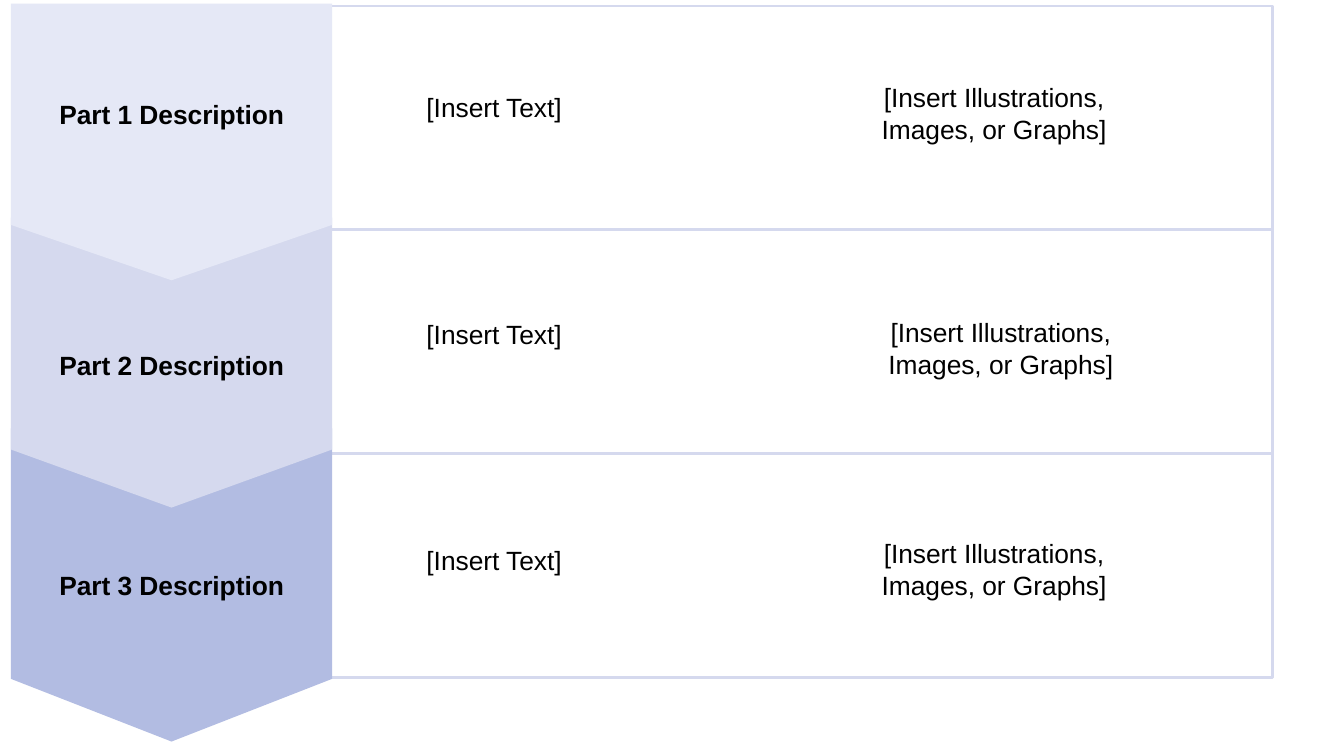
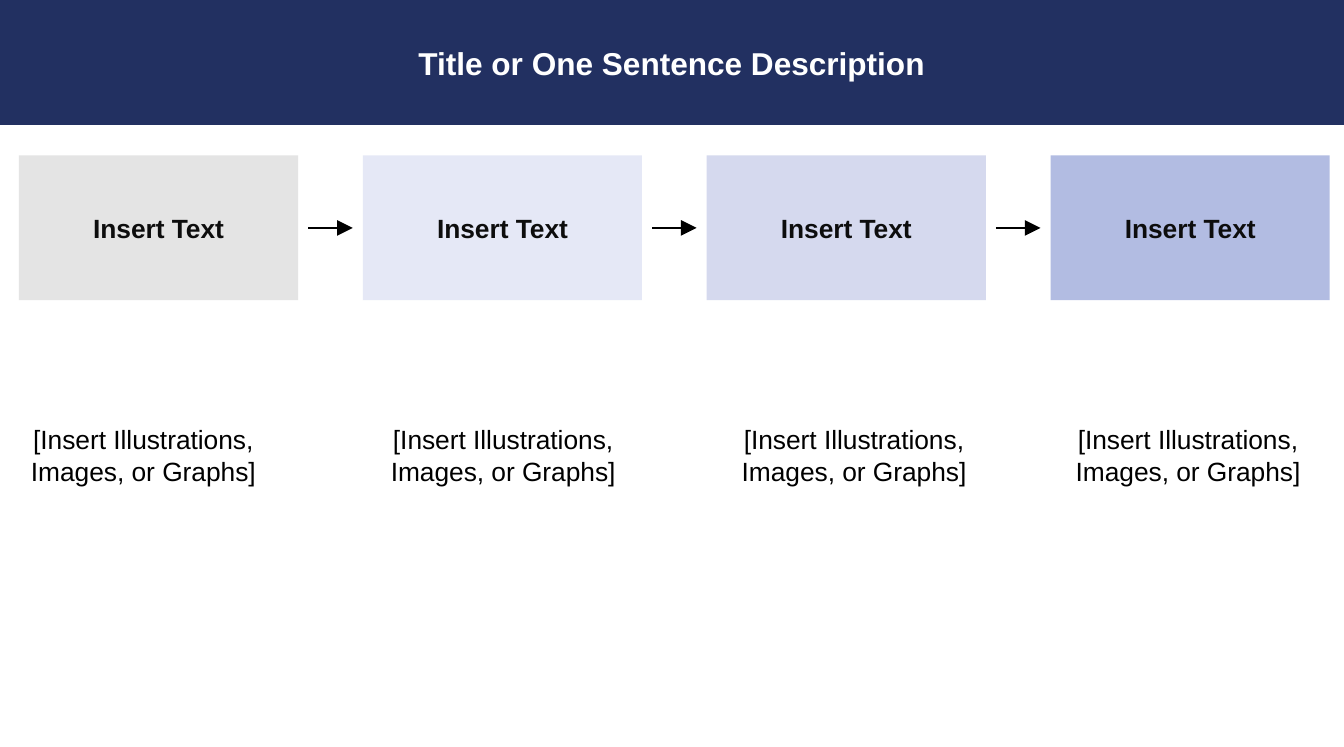
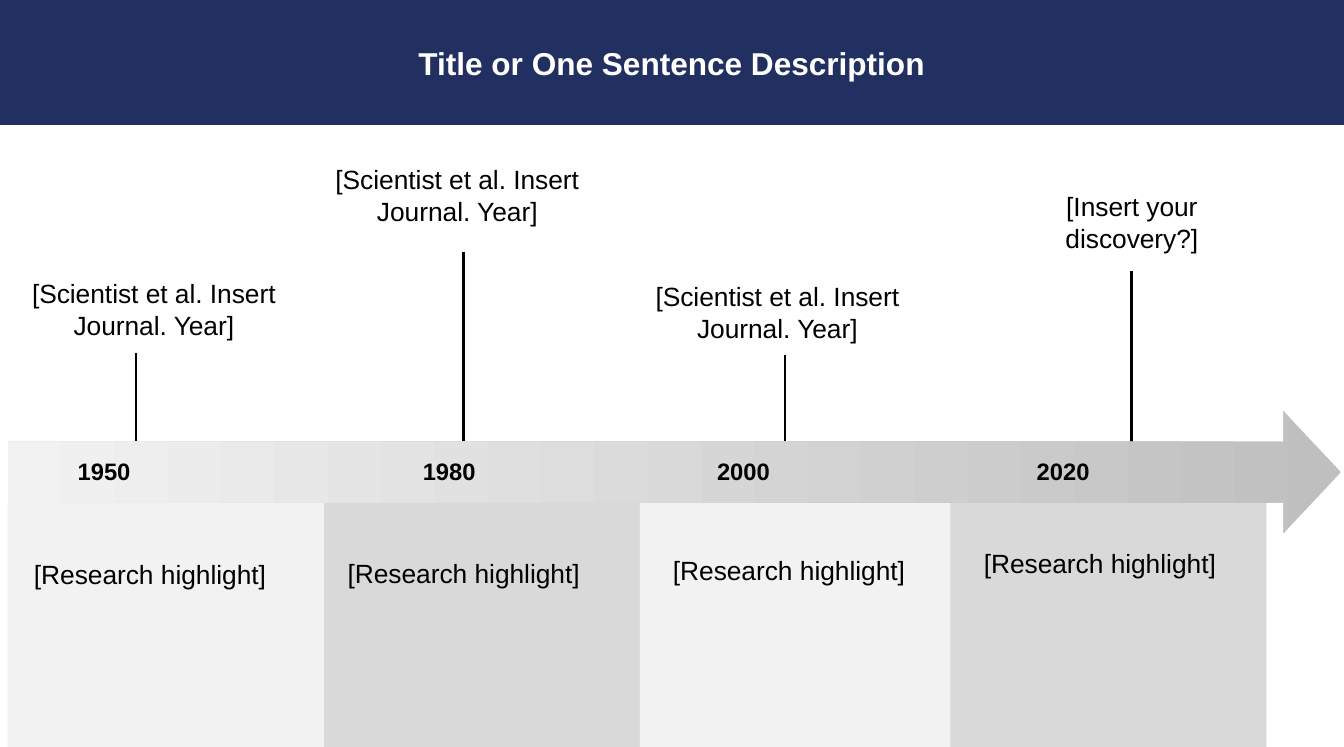
from lxml import etree
from pptx import Presentation
from pptx.dml.color import RGBColor
from pptx.enum.shapes import MSO_CONNECTOR, MSO_SHAPE as Preset
from pptx.enum.text import MSO_ANCHOR as Anchor, PP_ALIGN as Align
from pptx.oxml.ns import qn
from pptx.util import Pt

# Shared look
FONT = "Arial"
BLACK = RGBColor(0x00, 0x00, 0x00)
INK = RGBColor(0x0D, 0x0D, 0x0D)
WHITE = RGBColor(0xFF, 0xFF, 0xFF)
NAVY = RGBColor(0x22, 0x30, 0x61)
PALE = RGBColor(0xE5, 0xE8, 0xF6)
LAVENDER = RGBColor(0xD5, 0xD9, 0xEE)
PERIWINKLE = RGBColor(0xB2, 0xBC, 0xE2)
GREY = RGBColor(0xE4, 0xE4, 0xE4)
LIGHT_GREY = RGBColor(0xF2, 0xF2, 0xF2)
MID_GREY = RGBColor(0xD9, 0xD9, 0xD9)
DARK_GREY = RGBColor(0xBF, 0xBF, 0xBF)

PAGE_WIDTH, PAGE_HEIGHT = 510.24, 283.46
BAND_HEIGHT = 47.4
TITLE = "Title or One Sentence Description"
ILLUSTRATION = "[Insert Illustrations, Images, or Graphs]"
CITATION = "[Scientist et al. Insert Journal. Year]"


def write(shape, text, size=10, color=BLACK, bold=False):
    frame = shape.text_frame
    frame.word_wrap = True
    frame.text = text
    para = frame.paragraphs[0]
    para.alignment = Align.CENTER
    for span in para.runs:
        span.font.name = FONT
        span.font.size = Pt(size)
        span.font.bold = bold
        span.font.color.rgb = color


def add_box(page, preset, left, top, width, height, fill=None, outline=None):
    box = page.shapes.add_shape(preset, Pt(left), Pt(top), Pt(width), Pt(height))
    box.shadow.inherit = False
    if fill is None:
        box.fill.background()
    else:
        box.fill.solid()
        box.fill.fore_color.rgb = fill
    if outline is None:
        box.line.fill.background()
    else:
        box.line.color.rgb = outline
        box.line.width = Pt(1)
    box.text_frame.vertical_anchor = Anchor.MIDDLE
    return box


def add_caption(page, text, left, top, width, height=31.5, **style):
    caption = page.shapes.add_textbox(Pt(left), Pt(top), Pt(width), Pt(height))
    write(caption, text, **style)


def add_line(page, x1, y1, x2, y2, arrow=False):
    line = page.shapes.add_connector(
        MSO_CONNECTOR.STRAIGHT, Pt(x1), Pt(y1), Pt(x2), Pt(y2))
    line.line.color.rgb = BLACK
    line.line.width = Pt(1)
    if arrow:
        outline = line.line._get_or_add_ln()
        etree.SubElement(outline, qn("a:tailEnd"), type="triangle")
    etree.SubElement(line._element.spPr, qn("a:effectLst"))


def add_title_band(page):
    band = add_box(page, Preset.RECTANGLE, 0, 0, PAGE_WIDTH, BAND_HEIGHT, NAVY)
    write(band, TITLE, size=12, color=WHITE, bold=True)


def build_parts(page):
    # Outlined rows
    row_height = 85
    for row in range(3):
        add_box(page, Preset.RECTANGLE, 116.6, 2.2 + row * row_height,
                366.5, row_height, outline=LAVENDER)

    # Overlapping pointers, lowest first: number, top, height, fill, top inset
    pointers = [(3, 162.6, 118.8, PERIWINKLE, 27.6),
                (2, 82.6, 110, LAVENDER, 27.6),
                (1, 1.4, 105, PALE, 3.6)]
    for number, top, height, fill, inset in pointers:
        pointer = add_box(page, Preset.FLOWCHART_OFFPAGE_CONNECTOR,
                          4.2, top, 121.9, height, fill)
        pointer.text_frame.margin_top = Pt(inset)
        write(pointer, f"Part {number} Description", bold=True)

    # Row captions: text top, illustration top, illustration width
    for text_top, picture_top, width in [(31, 27.4, 126.7),
                                         (117.2, 116.5, 131.8),
                                         (202.8, 200.4, 126.7)]:
        add_caption(page, "[Insert Text]", 126, text_top, 123.2, 19.4)
        add_caption(page, ILLUSTRATION, 314, picture_top, width)


def build_steps(page):
    left, top, width, height, pitch = 7.2, 59, 106, 55, 130.55
    fills = [GREY, PALE, LAVENDER, PERIWINKLE]
    caption_lefts = [-7.2, 129.4, 262.6, 389.4]

    add_title_band(page)
    for index, (fill, caption_left) in enumerate(zip(fills, caption_lefts)):
        step_left = left + index * pitch
        step = add_box(page, Preset.RECTANGLE, step_left, top, width, height, fill)
        write(step, "Insert Text", color=INK, bold=True)
        add_caption(page, ILLUSTRATION, caption_left, 157, 123.2)
        # Arrow centred in the gap before the next step
        if index < len(fills) - 1:
            middle = top + height / 2
            add_line(page, step_left + width + 3.8, middle,
                     step_left + pitch - 3.8, middle, arrow=True)


def build_timeline(page):
    # Year, year left, event, event left and top, leader x and top
    events = [("1950", 17.2, CITATION, 2.9, 101.6, 51.6, 133.8),
              ("1980", 148.2, CITATION, 118.1, 58.4, 176, 95.8),
              ("2000", 259.9, CITATION, 239.6, 102.9, 298, 134.6),
              ("2020", 381.3, "[Insert your discovery?]", 374.2, 68.6, 429.7, 103)]
    # Column left, fill, highlight left and top
    columns = [(2.9, LIGHT_GREY, 4.9, 208.2),
               (123, MID_GREY, 124, 207.8),
               (242.9, LIGHT_GREY, 247.5, 206.6),
               (360.8, MID_GREY, 365.5, 204)]

    # Leaders and columns lie behind the arrow
    for *_, leader_x, leader_top in events:
        add_line(page, leader_x, 169, leader_x, leader_top)
    for left, fill, *_ in columns:
        add_box(page, Preset.RECTANGLE, left, 190.4, 120, 93, fill)

    # Time arrow
    arrow = add_box(page, Preset.RIGHT_ARROW, 2.9, 156, 506.2, 46.4, MID_GREY)
    arrow.adjustments[1] = 0.47
    arrow.fill.gradient()
    arrow.fill.gradient_angle = 180
    for stop, color in zip(arrow.fill.gradient_stops, (DARK_GREY, LIGHT_GREY)):
        stop.color.rgb = color

    # Years, events and highlights
    for year, year_left, event, left, top, *_ in events:
        add_caption(page, year, year_left, 170, 44.6, 18.2, size=9, bold=True)
        add_caption(page, event, left, top, 111)
    for *_, left, top in columns:
        add_caption(page, "[Research highlight]", left, top, 104)
    add_title_band(page)


def main():
    deck = Presentation()
    deck.slide_width, deck.slide_height = Pt(PAGE_WIDTH), Pt(PAGE_HEIGHT)
    blank = deck.slide_layouts[6]
    for build in (build_parts, build_steps, build_timeline):
        build(deck.slides.add_slide(blank))
    deck.save("out.pptx")


if __name__ == "__main__":
    main()
